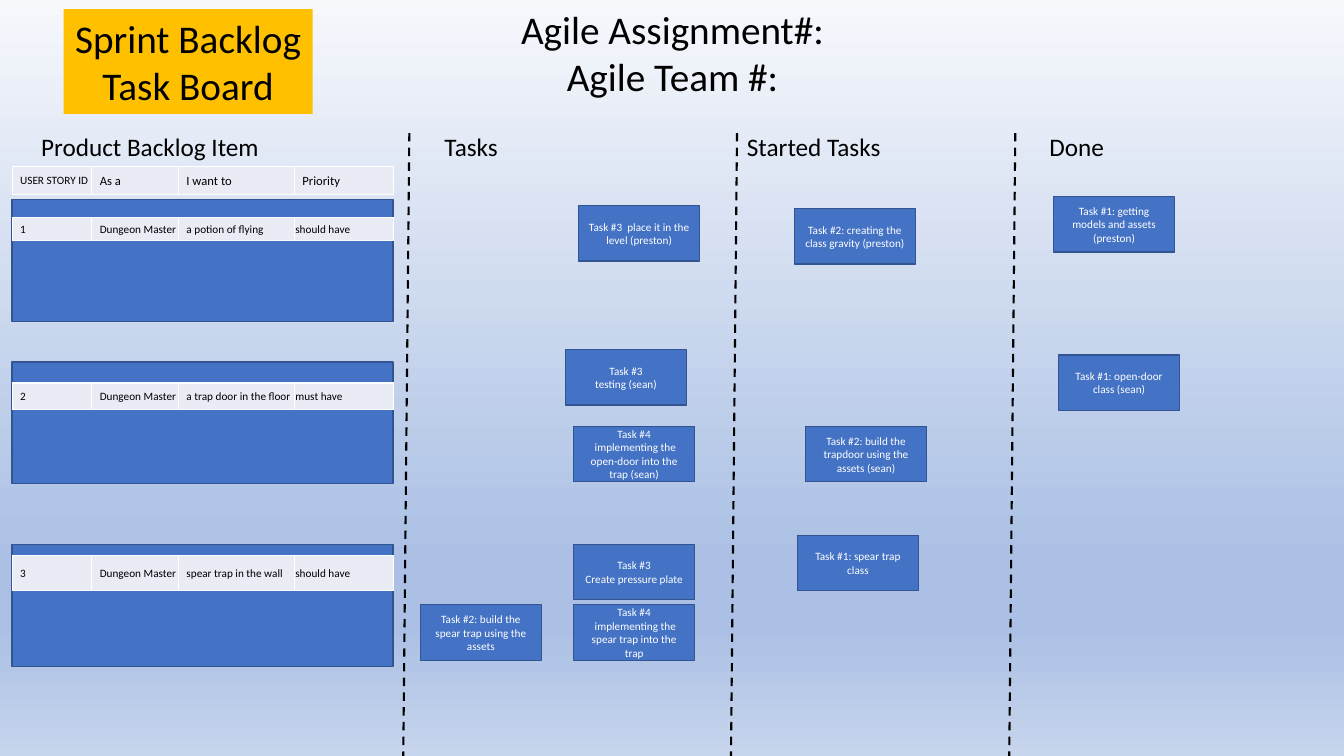
"""Build the sprint backlog task board slide."""
from lxml import etree
from pptx import Presentation
from pptx.dml.color import RGBColor
from pptx.enum import dml, shapes, text
from pptx.oxml import parse_xml
from pptx.oxml.ns import nsdecls, qn
from pptx.util import Inches, Pt

BLACK = RGBColor(0, 0, 0)
WHITE = RGBColor(255, 255, 255)
BLUE = RGBColor(0x44, 0x72, 0xC4)
NAVY = RGBColor(0x32, 0x54, 0x91)
PALE = RGBColor(0xE9, 0xEB, 0xF5)
GOLD = RGBColor(0xFF, 0xC0, 0x00)


def write(frame, words, size, color=BLACK, align=text.PP_ALIGN.CENTER):
    frame.text = words
    for para in frame.paragraphs:
        para.alignment = align
        for run in para.runs:
            run.font.name = "Calibri"
            run.font.size = Pt(size)
            run.font.color.rgb = color


def add_box(x, y, w, h):
    box = slide.shapes.add_shape(
        shapes.MSO_SHAPE.RECTANGLE, Inches(x), Inches(y), Inches(w), Inches(h))
    box.shadow.inherit = False
    box.fill.solid()
    box.fill.fore_color.rgb = BLUE
    box.line.color.rgb = NAVY
    box.line.width = Pt(1)
    return box


deck = Presentation()
deck.slide_width, deck.slide_height = Inches(13.33), Inches(7.5)
slide = deck.slides.add_slide(deck.slide_layouts[5])

slide.background.fill.solid()
back = slide.element.find(".//" + qn("p:bgPr"))
stops = [(0, "F6F8FC"), (74, "ABC0E4"), (83, "ABC0E4"), (100, "C7D5ED")]
marks = "".join(f'<a:gs pos="{pos * 1000}"><a:srgbClr val="{tint}"/></a:gs>'
                for pos, tint in stops)
back.replace(back[0], parse_xml(
    f'<a:gradFill {nsdecls("a")} rotWithShape="1"><a:gsLst>{marks}</a:gsLst>'
    '<a:lin ang="5400000" scaled="0"/></a:gradFill>'))

title = slide.shapes.title
title.left, title.top = Inches(0.63), Inches(0.09)
title.width, title.height = Inches(2.47), Inches(1.04)
title.fill.solid()
title.fill.fore_color.rgb = GOLD
write(title.text_frame, "Sprint Backlog\nTask Board", 28)
title.text_frame.word_wrap = False
title.text_frame.auto_size = text.MSO_AUTO_SIZE.NONE
title.text_frame.vertical_anchor = text.MSO_ANCHOR.TOP

heads = "Product Backlog Item\tTasks\tStarted Tasks\tDone"
for words, size, align, x, y, w, h in [
        ("Agile Assignment#:\nAgile Team #:", 28, text.PP_ALIGN.CENTER, 5.05, 0, 3.24, 1.04),
        (heads, 18, text.PP_ALIGN.LEFT, 0.31, 1.25, 10.85, 0.4)]:
    label = slide.shapes.add_textbox(Inches(x), Inches(y), Inches(w), Inches(h))
    write(label.text_frame, words, size, align=align)
    label.text_frame.word_wrap = False
    label.text_frame.auto_size = text.MSO_AUTO_SIZE.SHAPE_TO_FIT_TEXT
props = label.text_frame.paragraphs[0]._p.get_or_add_pPr()
tabs = etree.SubElement(props, qn("a:tabLst"))
for stop in (4, 7, 10):
    etree.SubElement(tabs, qn("a:tab"), pos=str(Inches(stop)), algn="l")

for top in (1.98, 3.59, 5.4):
    add_box(0.12, top, 3.78, 1.21)

stories = [
    (1.65, 0.28, ["USER STORY ID", "As a", "I want to", "Priority"]),
    (2.16, 0.23, ["1", "Dungeon Master", "a potion of flying", "should have"]),
    (3.8, 0.26, ["2", "Dungeon Master", "a trap door in the floor", "must have"]),
    (5.51, 0.35, ["3", "Dungeon Master", "spear trap in the wall", "should have"]),
]
for row, (top, high, words) in enumerate(stories):
    table = slide.shapes.add_table(
        1, 4, Inches(0.12), Inches(top), Inches(3.78), Inches(high)).table
    table.first_row = table.horz_banding = False
    for col, wide in enumerate((0.79, 0.86, 1.15, 0.98)):
        table.columns[col].width = Inches(wide)
        cell = table.cell(0, col)
        write(cell.text_frame, words[col], 9 if row == 0 and col else 8,
              align=text.PP_ALIGN.LEFT)
        cell.vertical_anchor = text.MSO_ANCHOR.MIDDLE
        cell.margin_left = Inches(0.01 if row and col == 3 else 0.08)
        cell.margin_top = cell.margin_right = Inches(0.01)
        cell.margin_bottom = 0
        props = cell._tc.get_or_add_tcPr()
        for side in ("lnL", "lnR", "lnT", "lnB"):
            edge = etree.SubElement(props, qn("a:" + side), w=str(Pt(1)))
            paint = etree.SubElement(edge, qn("a:solidFill"))
            etree.SubElement(paint, qn("a:srgbClr"), val=str(WHITE))
        cell.fill.solid()
        cell.fill.fore_color.rgb = PALE

for x in (4.06, 7.31, 10.07):
    rule = slide.shapes.add_connector(
        shapes.MSO_CONNECTOR.STRAIGHT,
        Inches(x), Inches(1.32), Inches(x - 0.06), Inches(7.5))
    rule.line.color.rgb = BLACK
    rule.line.width = Pt(1.5)
    rule.line.dash_style = dml.MSO_LINE.DASH
    etree.SubElement(rule._element.spPr, qn("a:effectLst"))

tasks = [
    (5.74, 2.04, "Task #3  place it in the level (preston)"),
    (7.88, 2.07, "Task #2: creating the class gravity (preston)"),
    (10.45, 1.95, "Task #1: getting models and assets (preston)"),
    (5.61, 3.47, "Task #3\ntesting (sean)"),
    (5.69, 4.23, "Task #4\n implementing the open-door into the trap (sean)"),
    (7.99, 4.23, "Task #2: build the trapdoor using the assets (sean)"),
    (10.5, 3.52, "Task #1: open-door class (sean)"),
    (5.69, 5.4, "Task #3\nCreate pressure plate"),
    (4.17, 6, "Task #2: build the spear trap using the assets"),
    (5.69, 6, "Task #4\n implementing the spear trap into the trap"),
    (7.91, 5.31, "Task #1: spear trap class"),
]
for x, y, words in tasks:
    card = add_box(x, y, 1.2, 0.55)
    write(card.text_frame, words, 8, WHITE)
    card.text_frame.word_wrap = True
    card.text_frame.vertical_anchor = text.MSO_ANCHOR.MIDDLE

deck.save("out.pptx")
